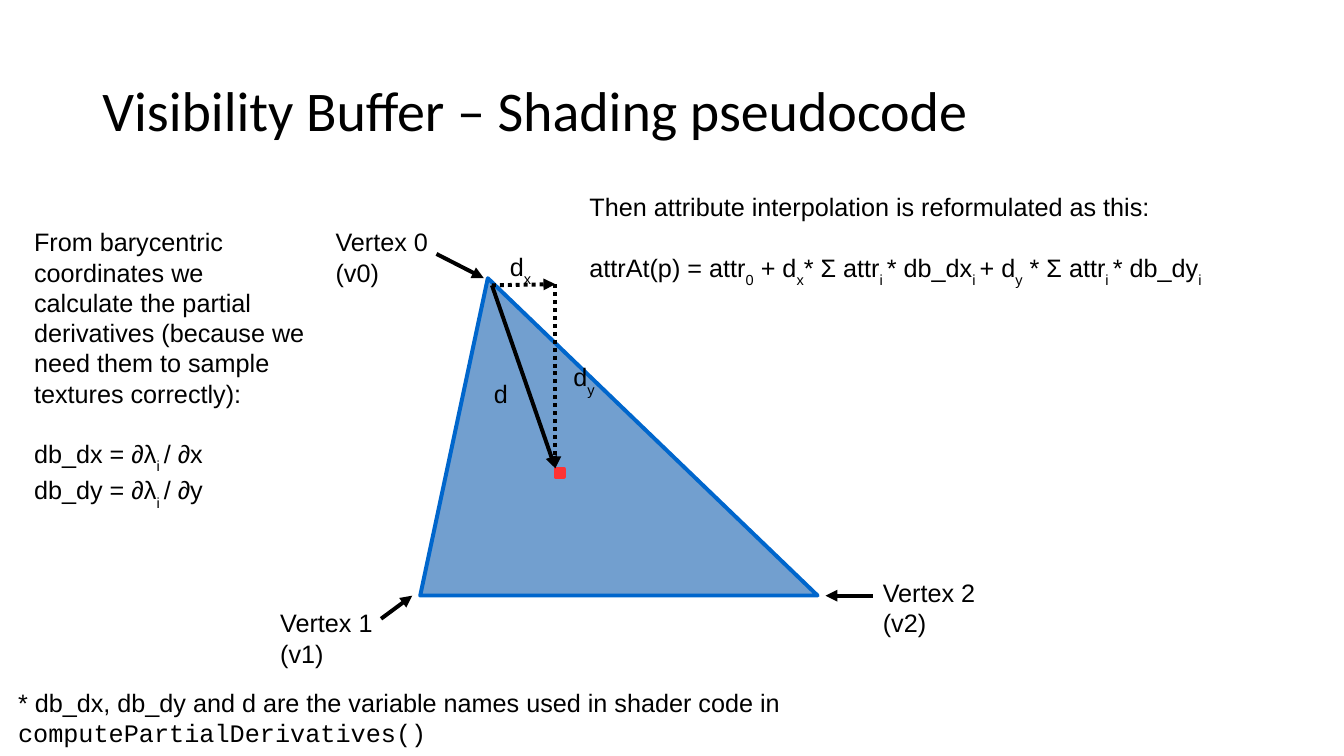
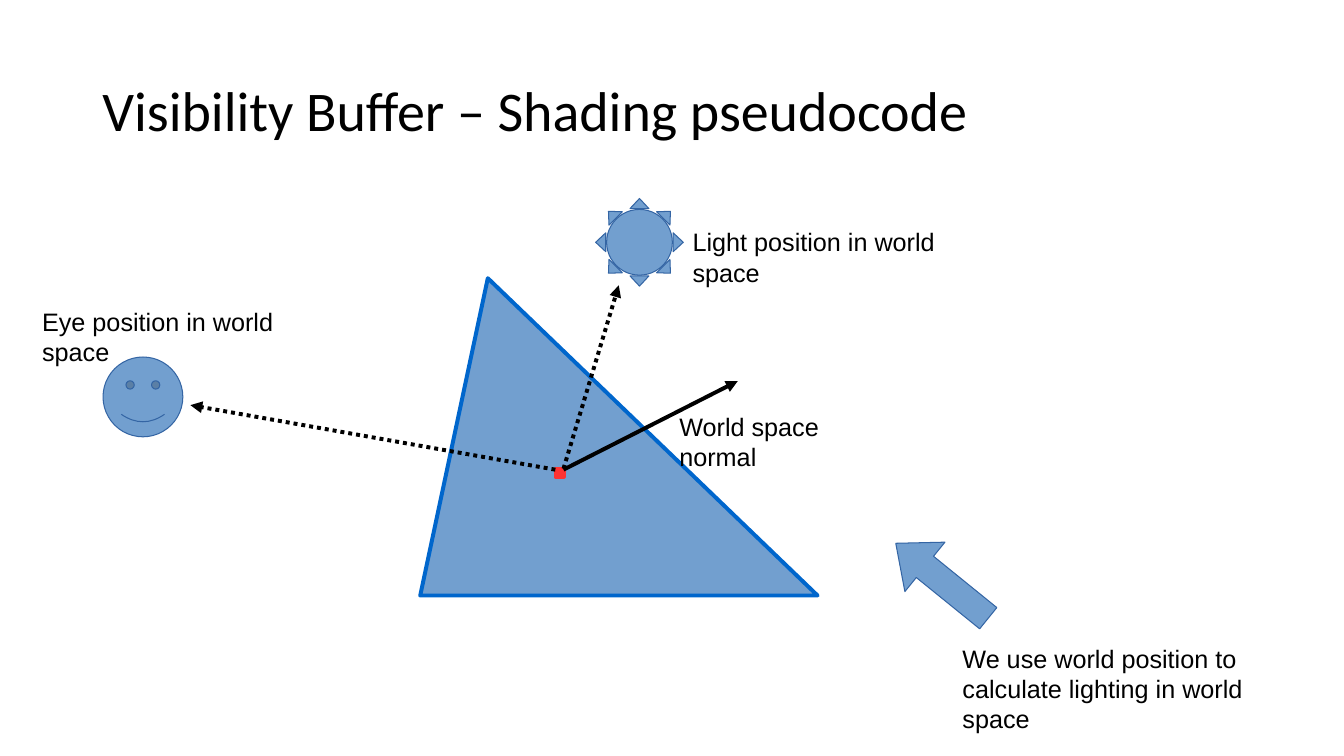
from dataclasses import dataclass

from lxml.etree import SubElement
from pptx import Presentation
from pptx.dml.color import RGBColor
from pptx.enum.dml import MSO_LINE
from pptx.enum.shapes import MSO_CONNECTOR, MSO_SHAPE
from pptx.enum.text import MSO_ANCHOR, MSO_AUTO_SIZE, PP_ALIGN
from pptx.oxml.ns import qn
from pptx.util import Pt


@dataclass(frozen=True)
class Theme:
    ink: RGBColor = RGBColor.from_string("000000")
    fill: RGBColor = RGBColor.from_string("729FCF")
    triangle_edge: RGBColor = RGBColor.from_string("0066CC")
    symbol_edge: RGBColor = RGBColor.from_string("3465A4")
    sample: RGBColor = RGBColor.from_string("FF3333")
    title_font: str = "Calibri"
    body_font: str = "Arial"
    code_font: str = "Courier New"
    title_size: float = 40
    body_size: float = 18
    paragraph_gap: float = 21.6
    heavy_line: float = 2.83
    thin_line: float = 0.75


THEME = Theme()
TITLE = "Visibility Buffer – Shading pseudocode"
TITLE_BOX = (66, 28.8, 828, 104.4)
TRIANGLE = ((348.5, 198.7), (584, 425.4), (300.2, 425.4))
SAMPLE_BOX = (396.8, 334.8, 5.8, 5.8)
PLAIN, SUBSCRIPT, CODE = "plain", "subscript", "code"


def points(values):
    return [Pt(value) for value in values]


def add_run(paragraph, text, size, font_name):
    run = paragraph.add_run()
    run.text = text
    run.font.size = Pt(size)
    run.font.name = font_name
    run.font.color.rgb = THEME.ink
    return run


def add_titled_slide(presentation):
    slide = presentation.slides.add_slide(presentation.slide_layouts[5])
    title = slide.shapes.title
    title.left, title.top, title.width, title.height = points(TITLE_BOX)
    frame = title.text_frame
    frame.word_wrap = True
    frame.auto_size = MSO_AUTO_SIZE.NONE
    frame.vertical_anchor = MSO_ANCHOR.MIDDLE
    paragraph = frame.paragraphs[0]
    paragraph.alignment = PP_ALIGN.LEFT
    paragraph.line_spacing = 0.9
    add_run(paragraph, TITLE, THEME.title_size, THEME.title_font)
    return slide


def add_text(slide, box, *paragraphs, gap_before=None):
    frame = slide.shapes.add_textbox(*points(box)).text_frame
    frame.word_wrap = True
    for index, content in enumerate(paragraphs):
        paragraph = frame.add_paragraph() if index else frame.paragraphs[0]
        if index == gap_before:
            paragraph.space_before = Pt(THEME.paragraph_gap)
        runs = [(content, PLAIN)] if isinstance(content, str) else content
        for text, style in runs:
            font_name = THEME.code_font if style == CODE else THEME.body_font
            run = add_run(paragraph, text, THEME.body_size, font_name)
            if style == SUBSCRIPT:
                run._r.get_or_add_rPr().set("baseline", "-33000")


def with_subscripts(*texts):
    return [(text, SUBSCRIPT if index % 2 else PLAIN)
            for index, text in enumerate(texts)]


def paint(shape, fill, edge, width):
    shape.shadow.inherit = False
    shape.fill.solid()
    shape.fill.fore_color.rgb = fill
    shape.line.color.rgb = edge
    shape.line.width = Pt(width)


def add_triangle(slide):
    start, *others = [points(corner) for corner in TRIANGLE]
    builder = slide.shapes.build_freeform(*start)
    builder.add_line_segments(others, close=True)
    shape = builder.convert_to_shape()
    paint(shape, THEME.fill, THEME.triangle_edge, THEME.heavy_line)
    SubElement(shape.line._get_or_add_ln(), qn("a:round"))


def add_sample(slide):
    shape = slide.shapes.add_shape(MSO_SHAPE.RECTANGLE, *points(SAMPLE_BOX))
    paint(shape, THEME.sample, THEME.sample, THEME.heavy_line)


def add_symbol(slide, kind, box, adjustments=(), rotation=0):
    shape = slide.shapes.add_shape(kind, *points(box))
    for index, value in enumerate(adjustments):
        shape.adjustments[index] = value
    shape.rotation = rotation
    paint(shape, THEME.fill, THEME.symbol_edge, THEME.thin_line)


def add_arrow(slide, start, end, dotted=False):
    connector = slide.shapes.add_connector(
        MSO_CONNECTOR.STRAIGHT, *points(start), *points(end))
    connector.line.color.rgb = THEME.ink
    connector.line.width = Pt(THEME.heavy_line)
    if dotted:
        connector.line.dash_style = MSO_LINE.ROUND_DOT
    SubElement(connector.line._get_or_add_ln(), qn("a:tailEnd"), type="triangle")
    SubElement(connector._element.spPr, qn("a:effectLst"))


def build_derivatives(presentation):
    slide = add_titled_slide(presentation)
    add_triangle(slide)

    vertex_size = (85, 47.5)
    add_text(slide, (232.6, 158.4, *vertex_size), "Vertex 0 (v0)")
    add_text(slide, (193, 430.6, *vertex_size), "Vertex 1", "(v1)")
    add_text(slide, (623.5, 409, *vertex_size), "Vertex 2", "(v2)")
    for start, end in (
        ((311.8, 181.4), (345.6, 198.7)),
        ((272.2, 442), (294.5, 425.5)),
        ((623.5, 425.5), (589.7, 425.5)),
    ):
        add_arrow(slide, start, end)

    origin, corner, target = (351.4, 203.8), (396.7, 203), (396.7, 334.5)
    add_arrow(slide, origin, corner, dotted=True)
    add_sample(slide)
    add_text(
        slide, (17.3, 158.4, 210, 283.5),
        "From barycentric coordinates we calculate the partial derivatives "
        "(because we need them to sample textures correctly):",
        with_subscripts("db_dx = ∂λ", "i ", "/ ∂x"),
        with_subscripts("db_dy = ∂λ", "i ", "/ ∂y"),
        gap_before=1,
    )
    add_arrow(slide, corner, target, dotted=True)
    add_text(
        slide, (414, 133.2, 465, 201.6),
        "Then attribute interpolation is reformulated as this:",
        with_subscripts(
            "attrAt(p) = attr", "0", " + d", "x", "* Σ attr", "i ",
            "* db_dx", "i ", "+ d", "y", " * Σ attr", "i ", "* db_dy", "i"),
        gap_before=1,
    )
    add_text(slide, (357.1, 175.7, 85, 31.7), with_subscripts("d", "x"))
    add_text(slide, (402.5, 254.9, 85, 31.7), with_subscripts("d", "y"))
    add_arrow(slide, origin, target)
    add_text(slide, (345.6, 266.4, 26, 33), "d")
    add_text(
        slide, (5.8, 487.4, 604, 52),
        [("* db_dx, db_dy and d are the variable names used in shader code in ",
          PLAIN),
         ("computePartialDerivatives()", CODE)],
    )


def build_lighting(presentation):
    slide = add_titled_slide(presentation)
    add_triangle(slide)
    add_sample(slide)
    add_arrow(slide, (402.5, 334.8), (442, 203.8), dotted=True)
    add_text(slide, (680.4, 455.8, 245, 80),
             "We use world position to calculate lighting in world space")
    add_symbol(slide, MSO_SHAPE.SUN, (425.5, 141.8, 62.6, 62.6), (0.125,))
    add_symbol(slide, MSO_SHAPE.SMILEY_FACE, (73.6, 255, 57, 57))
    add_arrow(slide, (396.7, 335.5), (136, 289.4), dotted=True)
    add_text(slide, (487.6, 158.4, 220, 50), "Light position in world space")
    add_text(slide, (23, 215.3, 212, 50), "Eye position in world space")
    add_arrow(slide, (402.5, 335.5), (527, 272.2))
    add_text(slide, (478.2, 290.2, 150, 50), "World space normal")
    add_symbol(slide, MSO_SHAPE.UP_ARROW, (650.2, 372.3, 45.4, 85),
               (0.43, 0.59), rotation=309)


def main():
    presentation = Presentation()
    presentation.slide_width, presentation.slide_height = points((960, 540))
    build_derivatives(presentation)
    build_lighting(presentation)
    presentation.save("out.pptx")


if __name__ == "__main__":
    main()
